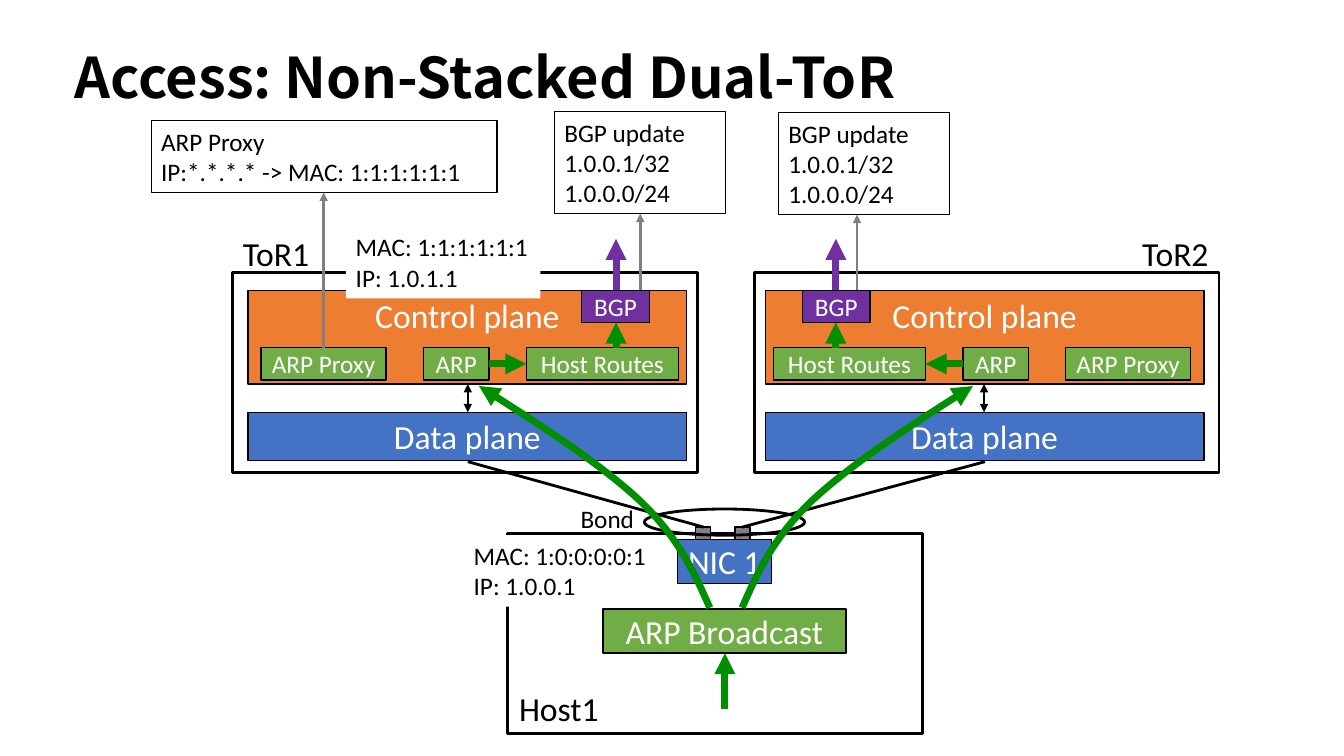
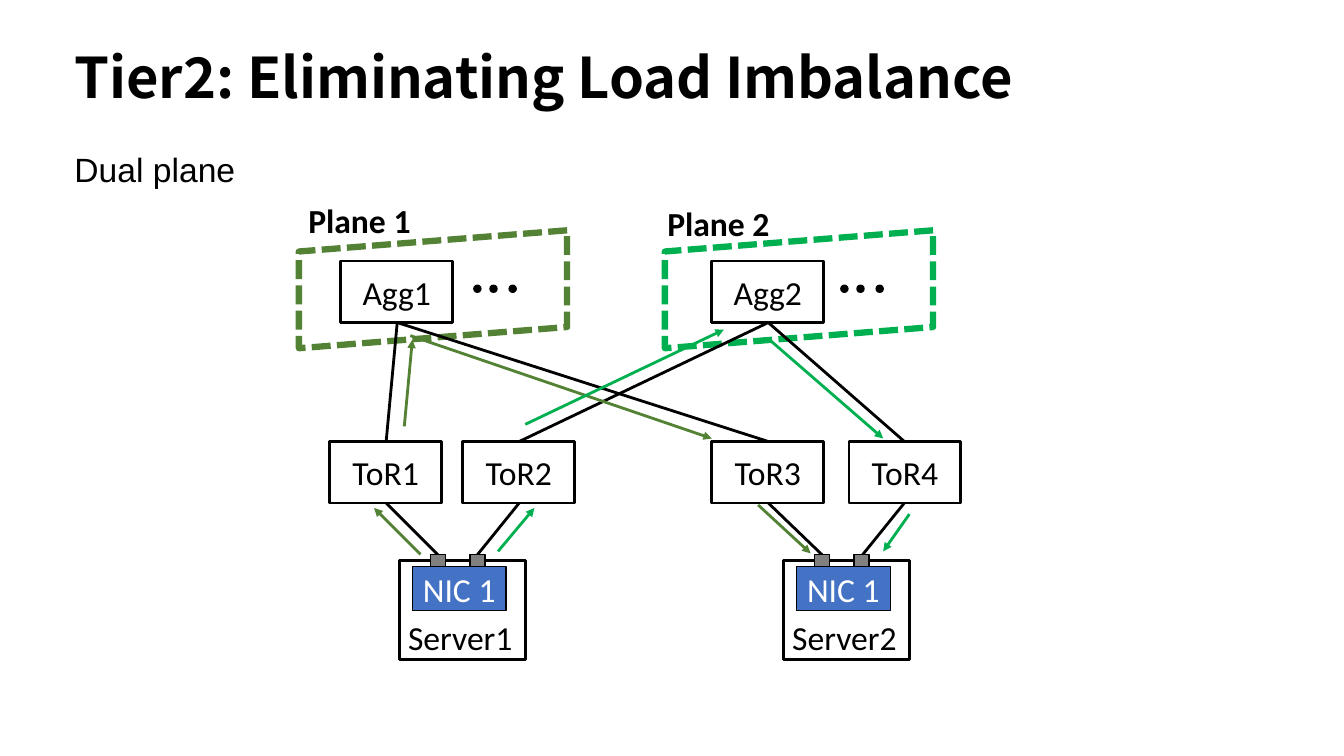
from dataclasses import dataclass, replace

from lxml.etree import SubElement
from pptx import Presentation
from pptx.dml.color import RGBColor
from pptx.enum.dml import MSO_LINE
from pptx.enum.shapes import MSO_CONNECTOR, MSO_SHAPE
from pptx.enum.text import MSO_ANCHOR, MSO_AUTO_SIZE, PP_ALIGN
from pptx.oxml.ns import qn
from pptx.util import Pt

PX = 9144  # EMU; 100 px to the inch
BLACK, WHITE, GRAY = "000000", "FFFFFF", "808080"
BLUE, ORANGE, PURPLE, LIME = "4472C4", "ED7D31", "7030A0", "70AD47"
FLOW, OLIVE, EMERALD = "008F00", "548235", "00B050"
BODY_FONT, TITLE_FONT = "Calibri", "Noto Sans CJK SC"
MIRROR_SUM = 1440  # left edge plus mirrored right edge of the ToR pair


@dataclass(frozen=True)
class Box:
    x: int
    y: int
    w: int
    h: int
    label: str = ""
    fill: str | None = WHITE
    edge: float = 1
    size: int = 24
    ink: str = WHITE
    anchor: MSO_ANCHOR = MSO_ANCHOR.MIDDLE
    preset: MSO_SHAPE = MSO_SHAPE.RECTANGLE

    def mirrored(self) -> "Box":
        return replace(self, x=MIRROR_SUM - self.x - self.w)


@dataclass(frozen=True)
class Label:
    x: int
    y: int
    w: int
    h: int
    lines: tuple[str, ...]
    size: int = 24
    font: str = BODY_FONT
    bold: bool = False
    fill: str | None = None
    edge: float = 0
    wrap: bool = False
    align: PP_ALIGN = PP_ALIGN.LEFT


@dataclass(frozen=True)
class Link:
    x1: int
    y1: int
    x2: int
    y2: int
    color: str = BLACK
    width: float = 2
    head: bool = False
    tail: bool = False

    def mirrored(self) -> "Link":
        return replace(self, x1=MIRROR_SUM - self.x1, x2=MIRROR_SUM - self.x2)


def rgb(value: str) -> RGBColor:
    return RGBColor.from_string(value)


def paint(shape, fill: str | None, color: str, width: float) -> None:
    """Set fill and outline; None and 0 leave them out."""
    if fill:
        shape.fill.solid()
        shape.fill.fore_color.rgb = rgb(fill)
    else:
        shape.fill.background()
    if width:
        shape.line.color.rgb = rgb(color)
        shape.line.width = Pt(width)
    else:
        shape.line.fill.background()


def add_span(para, text: str, size: int, color: str, font: str, bold: bool = False) -> None:
    span = para.add_run()
    span.text = text
    span.font.size = Pt(size)
    span.font.name = font
    span.font.bold = bold
    span.font.color.rgb = rgb(color)
    for tag in ("a:ea", "a:cs"):
        SubElement(span.font._element, qn(tag), typeface=font)


def add_ends(line, head: bool, tail: bool) -> None:
    outline = line._get_or_add_ln()
    for tag, wanted in (("a:headEnd", head), ("a:tailEnd", tail)):
        if wanted:
            SubElement(outline, qn(tag), type="triangle")


def draw_box(page, box: Box):
    shape = page.shapes.add_shape(box.preset, box.x * PX, box.y * PX, box.w * PX, box.h * PX)
    shape.shadow.inherit = False
    paint(shape, box.fill, BLACK, box.edge)
    if box.label:
        frame = shape.text_frame
        frame.vertical_anchor = box.anchor
        para = frame.paragraphs[0]
        para.alignment = PP_ALIGN.CENTER
        add_span(para, box.label, box.size, box.ink, BODY_FONT)
    return shape


def draw_label(page, label: Label) -> None:
    shape = page.shapes.add_textbox(label.x * PX, label.y * PX, label.w * PX, label.h * PX)
    paint(shape, label.fill, BLACK, label.edge)
    frame = shape.text_frame
    frame.word_wrap = label.wrap
    frame.auto_size = MSO_AUTO_SIZE.SHAPE_TO_FIT_TEXT
    for index, text in enumerate(label.lines):
        para = frame.add_paragraph() if index else frame.paragraphs[0]
        para.alignment = label.align
        add_span(para, text, label.size, BLACK, label.font, label.bold)


def draw_link(page, link: Link) -> None:
    connector = page.shapes.add_connector(
        MSO_CONNECTOR.STRAIGHT, link.x1 * PX, link.y1 * PX, link.x2 * PX, link.y2 * PX)
    connector.line.color.rgb = rgb(link.color)
    connector.line.width = Pt(link.width)
    add_ends(connector.line, link.head, link.tail)
    SubElement(connector._element.spPr, qn("a:effectLst"))


def bezier(points, steps: int = 16) -> list[tuple[int, int]]:
    """Sample a cubic curve given in px, without its start, as EMU points."""
    samples = []
    for step in range(1, steps + 1):
        t = step / steps
        weights = ((1 - t) ** 3, 3 * t * (1 - t) ** 2, 3 * t * t * (1 - t), t ** 3)
        samples.append(tuple(round(PX * sum(k * p[axis] for k, p in zip(weights, points)))
                             for axis in (0, 1)))
    return samples


def draw_curve(page, points) -> None:
    """Draw two joined cubic curves, seven points in all, ending in an arrowhead."""
    start_x, start_y = points[0]
    builder = page.shapes.build_freeform(start_x * PX, start_y * PX, scale=1.0)
    builder.add_line_segments(bezier(points[:4]) + bezier(points[3:]), close=False)
    shape = builder.convert_to_shape()
    shape.shadow.inherit = False
    paint(shape, None, FLOW, 5)
    add_ends(shape.line, False, True)


def draw_nic(page, x: int, y: int) -> None:
    for offset in (18, 57):
        draw_box(page, Box(x + offset, y - 12, 15, 20, fill=GRAY))
    draw_box(page, Box(x, y, 93, 44, "NIC 1", BLUE))


def add_page(deck, title: str, width: int):
    page = deck.slides.add_slide(deck.slide_layouts[6])
    frame = page.shapes.add_textbox(64 * PX, 31 * PX, width * PX, 98 * PX).text_frame
    frame.word_wrap = True
    frame.vertical_anchor = MSO_ANCHOR.MIDDLE
    para = frame.paragraphs[0]
    para.line_spacing = 0.9
    add_span(para, title, 40, BLACK, TITLE_FONT, True)
    return page


TOR_BOXES = (
    Box(231, 270, 461, 199, edge=2),
    Box(246, 288, 435, 93, "Control plane", ORANGE, anchor=MSO_ANCHOR.TOP),
    Box(246, 409, 435, 48, "Data plane", BLUE),
    Box(577, 288, 67, 32, "BGP", PURPLE, size=18),
    Box(420, 345, 65, 32, "ARP", LIME, size=18),
    Box(522, 345, 151, 32, "Host Routes", LIME, size=18),
    Box(259, 345, 124, 32, "ARP Proxy", LIME, size=18),
)
TOR_LINKS = (
    Link(464, 381, 464, 409, width=1.75, head=True, tail=True),
    Link(611, 288, 611, 237, PURPLE, 5, tail=True),
    Link(485, 361, 522, 361, FLOW, 5, tail=True),
    Link(611, 345, 611, 320, FLOW, 5, tail=True),
)
BGP_UPDATE = ("BGP update", "1.0.0.1/32", "1.0.0.0/24")
ACCESS_LABELS = (
    Label(460, 531, 193, 71, ("MAC: 1:0:0:0:0:1", "IP: 1.0.0.1"), 18, fill=WHITE),
    Label(343, 225, 193, 71, ("MAC: 1:1:1:1:1:1", "IP: 1.0.1.1"), 18, fill=WHITE),
    Label(150, 120, 343, 71, ("ARP Proxy", "IP:*.*.*.* -> MAC: 1:1:1:1:1:1"), 18,
          fill=WHITE, edge=0.75, wrap=True),
    Label(550, 111, 170, 101, BGP_UPDATE, 18, fill=WHITE, edge=0.75, wrap=True),
    Label(772, 112, 170, 101, BGP_UPDATE, 18, fill=WHITE, edge=0.75, wrap=True),
    Label(566, 494, 74, 40, ("Bond",), 18),
)
CALLOUT_LINKS = tuple(Link(x, bottom, x, top, GRAY, tail=True)
                      for x, bottom, top in ((321, 345, 191), (635, 288, 212), (850, 288, 213)))
BROADCAST_CURVE = ((704, 603), (689, 569), (674, 535), (636, 498),
                   (598, 462), (537, 422), (475, 383))


def build_access(deck) -> None:
    page = add_page(deck, "Access: Non-Stacked Dual-ToR", 913)
    draw_box(page, Box(503, 529, 412, 199, edge=2))
    draw_label(page, Label(505, 678, 100, 50, ("Host1",)))
    draw_box(page, Box(598, 604, 241, 44, "ARP Broadcast", LIME))
    draw_link(page, Link(719, 703, 719, 648, FLOW, 5, tail=True))
    draw_nic(page, 672, 535)
    for name, label_x, is_mirrored in (("ToR1", 231, False), ("ToR2", 1123, True)):
        for box in TOR_BOXES:
            draw_box(page, box.mirrored() if is_mirrored else box)
        for link in TOR_LINKS:
            draw_link(page, link.mirrored() if is_mirrored else link)
        draw_label(page, Label(label_x, 226, 87, 50, (name,)))
    for port_x, tor_x in ((698, 464), (736, 977)):
        draw_link(page, Link(port_x, 523, tor_x, 458))
    for label in ACCESS_LABELS:
        draw_label(page, label)
    for link in CALLOUT_LINKS:
        draw_link(page, link)
    draw_box(page, Box(639, 505, 159, 26, fill=None, edge=2, preset=MSO_SHAPE.OVAL))
    draw_curve(page, BROADCAST_CURVE)
    draw_curve(page, [(MIRROR_SUM - x, y) for x, y in BROADCAST_CURVE])


SWITCHES = (("ToR1", 327, 438), ("ToR2", 459, 438), ("ToR3", 706, 438), ("ToR4", 842, 438),
            ("Agg1", 338, 259), ("Agg2", 706, 259))
CABLES = (
    Link(435, 551, 383, 499), Link(473, 551, 515, 499),
    Link(816, 551, 762, 499), Link(855, 551, 897, 499),
    Link(762, 438, 394, 320), Link(897, 438, 762, 320),
    Link(394, 320, 383, 438), Link(515, 438, 762, 320),
)
TRAFFIC = {
    OLIVE: ((417, 550, 371, 504), (401, 423, 409, 337), (407, 333, 706, 435), (752, 501, 804, 549)),
    EMERALD: ((494, 547, 530, 504), (521, 421, 718, 327), (762, 336, 876, 435), (902, 510, 876, 547)),
}


def draw_plane(page, x: int, color: str) -> None:
    """Draw a dashed parallelogram turned on its side."""
    shape = draw_box(page, Box(x, 154, 117, 266, preset=MSO_SHAPE.PARALLELOGRAM))
    shape.adjustments[0] = 0.18
    shape.rotation = 90
    shape._element.spPr.xfrm.set("flipV", "1")
    paint(shape, WHITE, color, 4.5)
    shape.line.dash_style = MSO_LINE.SQUARE_DOT


def build_tier2(deck) -> None:
    page = add_page(deck, "Tier2: Eliminating Load Imbalance", 1116)
    draw_label(page, Label(64, 143, 871, 50, ("Dual plane",), font="Arial", wrap=True))
    for x, color in ((371, OLIVE), (734, EMERALD)):
        draw_plane(page, x, color)
    for name, x, y in SWITCHES:
        draw_box(page, Box(x, y, 111, 61, name, edge=2, ink=BLACK))
    for cable in CABLES:
        draw_link(page, cable)
    for color, hops in TRAFFIC.items():
        for hop in hops:
            draw_link(page, Link(*hop, color, tail=True))
    for name, x in (("Server1", 396), ("Server2", 777)):
        draw_box(page, Box(x, 556, 125, 98, edge=2))
        draw_label(page, Label(x - 2, 607, 125, 50, (name,), align=PP_ALIGN.CENTER))
        draw_nic(page, x + 13, 562)
    for name, x, y, dots_x in (("Plane 1", 296, 193, 470), ("Plane 2", 652, 196, 834)):
        draw_label(page, Label(x, y, 130, 50, (name,), bold=True, wrap=True))
        for offset in (0, 16, 35):
            draw_box(page, Box(dots_x + offset, 283, 7, 7, fill=BLACK, preset=MSO_SHAPE.OVAL))


def main() -> None:
    deck = Presentation()
    deck.slide_width, deck.slide_height = 1333 * PX, 750 * PX
    build_access(deck)
    build_tier2(deck)
    deck.save("out.pptx")


if __name__ == "__main__":
    main()
